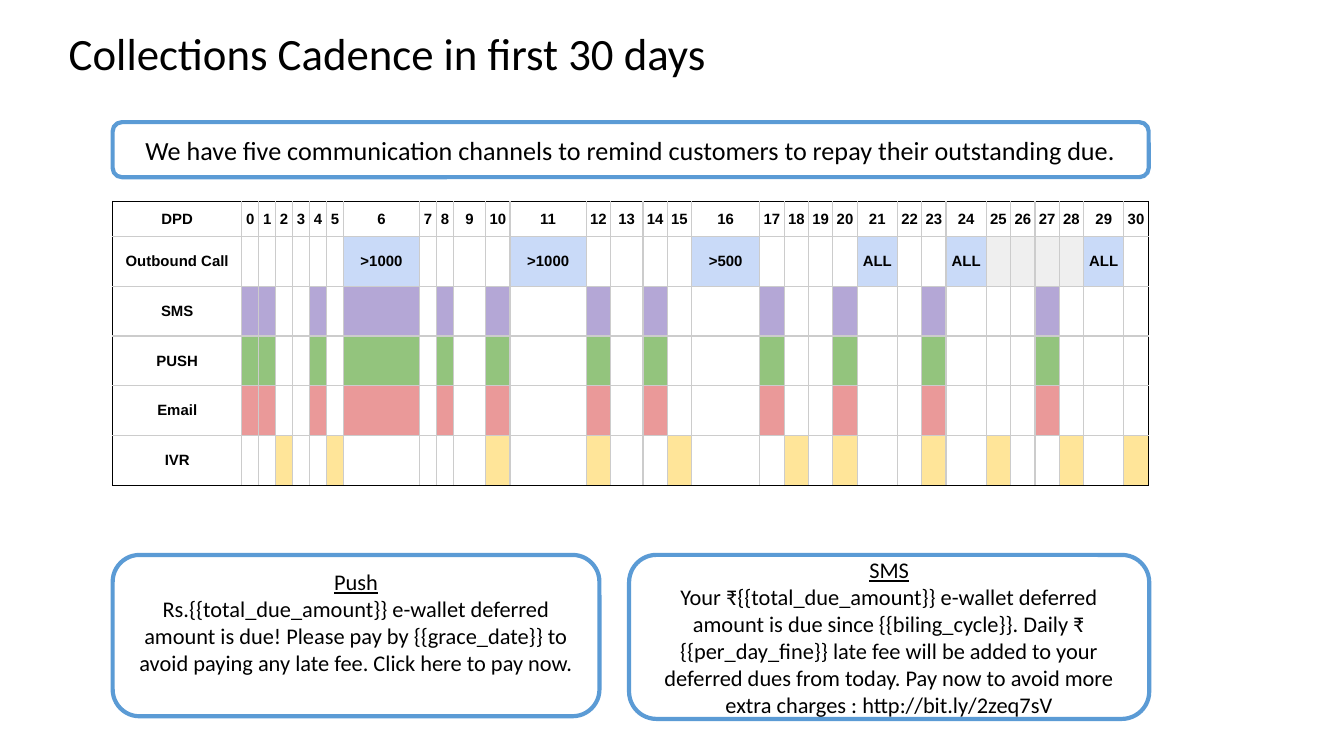
from dataclasses import dataclass

from lxml import etree
from pptx import Presentation
from pptx import util as u
from pptx.dml.color import RGBColor
from pptx.enum import shapes, text
from pptx.oxml import ns

BLACK = RGBColor(0x00, 0x00, 0x00)
WHITE = RGBColor(0xFF, 0xFF, 0xFF)
GRID = RGBColor(0xCC, 0xCC, 0xCC)
GRAY = RGBColor(0xEF, 0xEF, 0xEF)
EDGE = RGBColor(0x5B, 0x9B, 0xD5)
BLUE = RGBColor(0xC9, 0xDA, 0xF8)
MAUVE = RGBColor(0xB4, 0xA7, 0xD6)
GREEN = RGBColor(0x93, 0xC4, 0x7D)
ROSE = RGBColor(0xEA, 0x99, 0x99)
GOLD = RGBColor(0xFF, 0xE5, 0x99)

DAYS = range(31)
SENDS = (0, 1, 4, 6, 8, 10, 12, 14, 17, 20, 23, 27)
CALLS = {6: ">1000", 11: ">1000", 16: ">500", 21: "ALL", 24: "ALL", 29: "ALL"}
WIDE = {6: 1.44, 9: 0.61, 11: 1.44, 13: 0.61, 16: 1.29, 21: 0.76, 24: 0.76, 29: 0.76}


@dataclass
class Track:
    name: str
    fills: dict[int, RGBColor]
    words: dict[int, str]


@dataclass
class Card:
    left: float
    top: float
    width: float
    height: float
    size: int
    body: str
    head: str = ""
    base: float = 0.1


TRACKS = (
    Track("DPD", {}, {day: str(day) for day in DAYS}),
    Track("Outbound Call", dict.fromkeys(CALLS, BLUE) | dict.fromkeys(range(25, 29), GRAY), CALLS),
    Track("SMS", dict.fromkeys(SENDS, MAUVE), {}),
    Track("PUSH", dict.fromkeys(SENDS, GREEN), {}),
    Track("Email", dict.fromkeys(SENDS, ROSE), {}),
    Track("IVR", dict.fromkeys((2, 5, 10, 12, 15, 18, 20, 23, 25, 28, 30), GOLD), {}),
)

CARDS = (
    Card(2.13, 2.31, 19.58, 1.04, 14,
         "We have five communication channels to remind customers to repay their outstanding due."),
    Card(2.13, 10.49, 9.2, 3.05, 12,
         "Rs.{{total_due_amount}} e-wallet deferred amount is due! Please pay by "
         "{{grace_date}} to avoid paying any late fee. Click here to pay now.",
         "Push", 0.61),
    Card(11.89, 10.49, 9.83, 3.1, 12,
         "Your ₹{{total_due_amount}} e-wallet deferred amount is due since {{biling_cycle}}. "
         "Daily ₹{{per_day_fine}} late fee will be added to your deferred dues from today. "
         "Pay now to avoid more extra charges : http://bit.ly/2zeq7sV",
         "SMS"),
)


def style(para, face: str, size: int, bold: bool = False, line: bool = False) -> None:
    font = para.font
    font.name, font.size, font.bold, font.underline = face, u.Pt(size), bold, line
    font.color.rgb = BLACK


def frame(shape, base: float = 0.1):
    area = shape.text_frame
    area.word_wrap = True
    area.vertical_anchor = text.MSO_ANCHOR.MIDDLE
    area.margin_left = area.margin_right = u.Cm(0.18)
    area.margin_top, area.margin_bottom = u.Cm(0.1), u.Cm(base)
    return area


def draw_title(slide, words: str) -> None:
    area = frame(slide.shapes.add_textbox(u.Cm(1.12), u.Cm(0.33), u.Cm(21.9), u.Cm(1.47)))
    para = area.paragraphs[0]
    para.text, para.line_spacing = words, 0.9
    style(para, "Calibri", 24)


def draw_card(slide, card: Card) -> None:
    box = slide.shapes.add_shape(
        shapes.MSO_SHAPE.ROUNDED_RECTANGLE,
        u.Cm(card.left), u.Cm(card.top), u.Cm(card.width), u.Cm(card.height))
    box.shadow.inherit = False
    box.fill.solid()
    box.fill.fore_color.rgb = WHITE
    box.line.color.rgb, box.line.width = EDGE, u.Pt(2.25)
    area = frame(box, card.base)
    parts = [part for part in (card.head, card.body) if part]
    area.text = "\n".join(parts)
    for para, part in zip(area.paragraphs, parts):
        para.alignment = text.PP_ALIGN.CENTER
        style(para, "Calibri", card.size, line=part == card.head)


def border(cell, side: str, color: RGBColor) -> None:
    props = cell._tc.get_or_add_tcPr()
    line = etree.SubElement(props, ns.qn(f"a:ln{side}"), w=str(u.Pt(0.75)))
    fill = etree.SubElement(line, ns.qn("a:solidFill"))
    etree.SubElement(fill, ns.qn("a:srgbClr"), val=str(color))


def draw_cell(cell, words: str, color: RGBColor, outer: dict[str, bool]) -> None:
    for side, edge in outer.items():
        border(cell, side, BLACK if edge else GRID)
    cell.fill.solid()
    cell.fill.fore_color.rgb = color
    cell.margin_left = cell.margin_right = u.Cm(0.05)
    cell.margin_top = cell.margin_bottom = 0
    cell.vertical_anchor = text.MSO_ANCHOR.MIDDLE
    para = cell.text_frame.paragraphs[0]
    if words:
        para.text = words
    para.alignment = text.PP_ALIGN.CENTER
    style(para, "Arial", 8, bold=True)


def draw_grid(slide, tracks: tuple[Track, ...]) -> None:
    widths = [2.44] + [WIDE.get(day, 0.32 if day < 9 else 0.46) for day in DAYS]
    heights = [0.66] + [0.94] * (len(tracks) - 1)
    table = slide.shapes.add_table(
        len(heights), len(widths), u.Cm(2.13), u.Cm(3.81),
        u.Cm(sum(widths)), u.Cm(sum(heights))).table
    table.first_row = table.horz_banding = False
    for col, width in zip(table.columns, widths):
        col.width = u.Cm(width)
    for row, height in zip(table.rows, heights):
        row.height = u.Cm(height)
    for y, track in enumerate(tracks):
        for x in range(len(widths)):
            words = track.words.get(x - 1, "") if x else track.name
            outer = {"L": x == 0, "R": x == len(widths) - 1,
                     "T": y == 0, "B": y == len(tracks) - 1}
            draw_cell(table.cell(y, x), words, track.fills.get(x - 1, WHITE), outer)


def main() -> None:
    deck = Presentation()
    deck.slide_width, deck.slide_height = u.Cm(25.4), u.Cm(14.29)
    slide = deck.slides.add_slide(deck.slide_layouts[6])
    draw_title(slide, "Collections Cadence in first 30 days")
    draw_grid(slide, TRACKS)
    for card in CARDS:
        draw_card(slide, card)
    deck.save("out.pptx")


if __name__ == "__main__":
    main()
